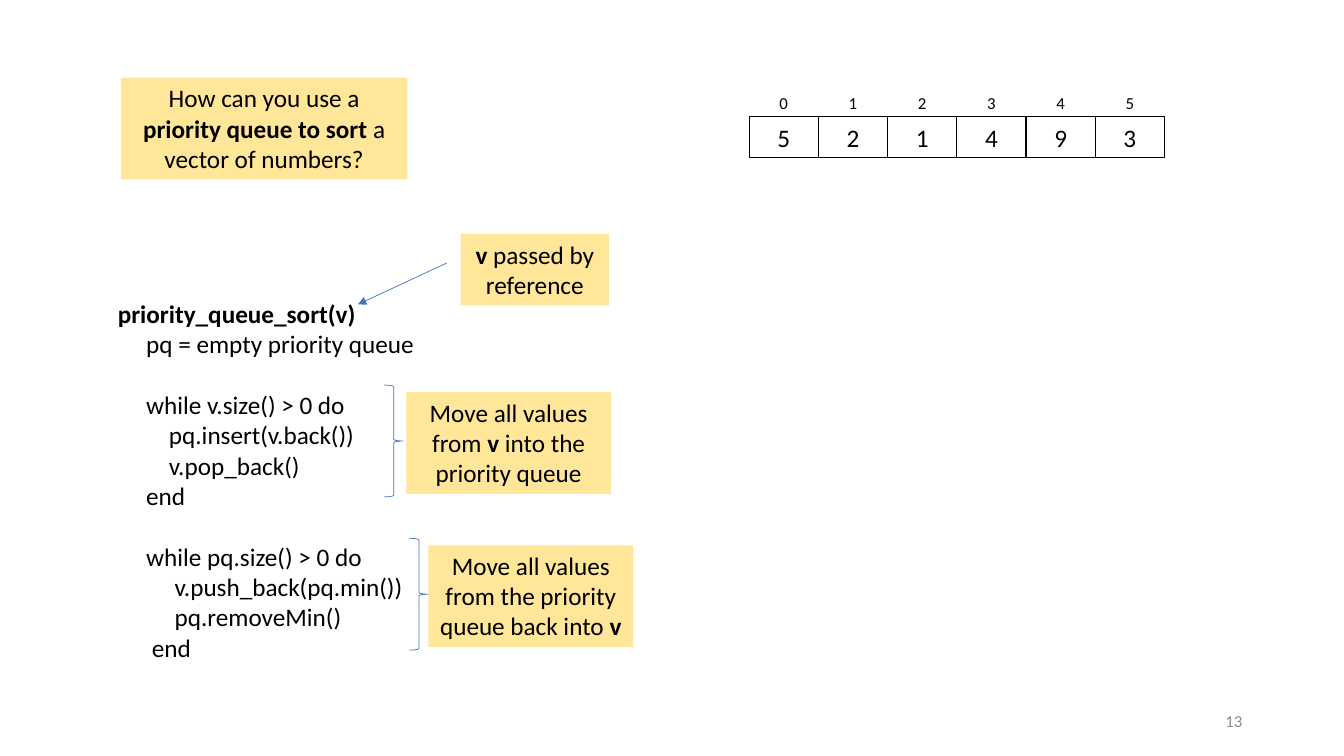
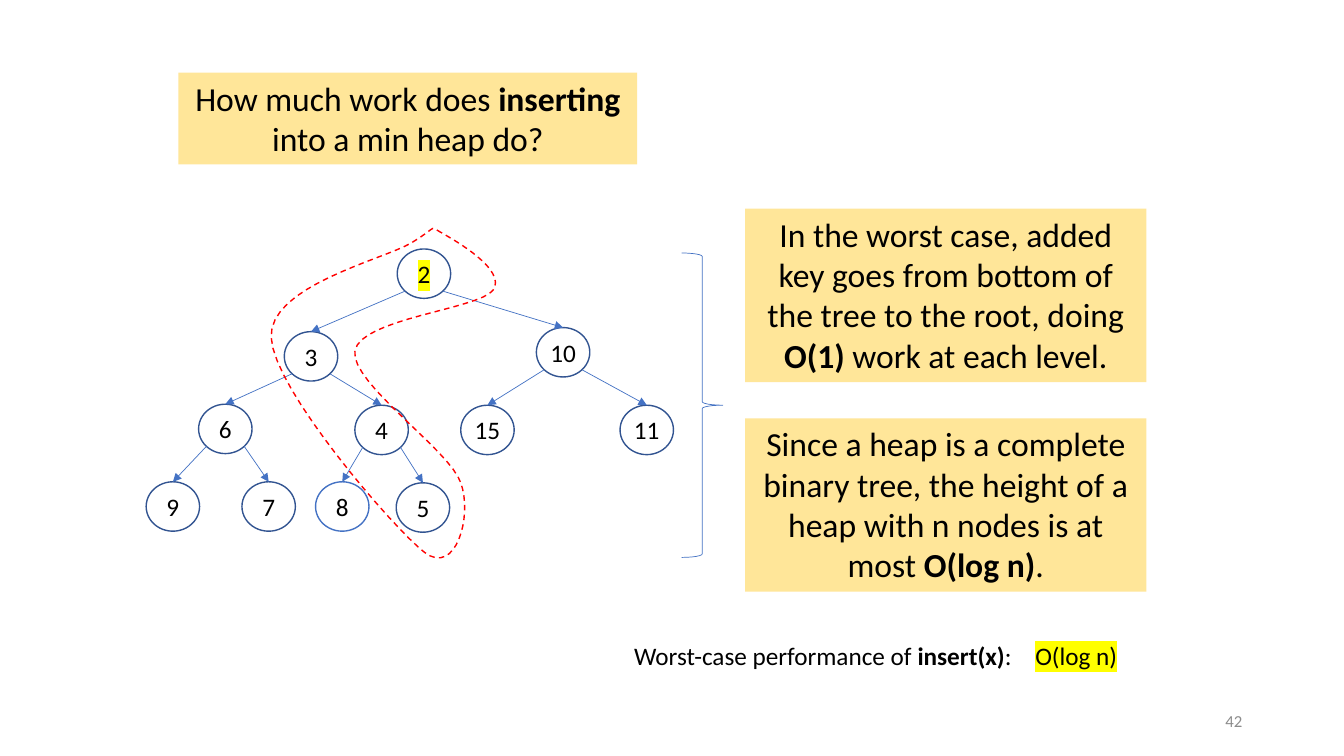
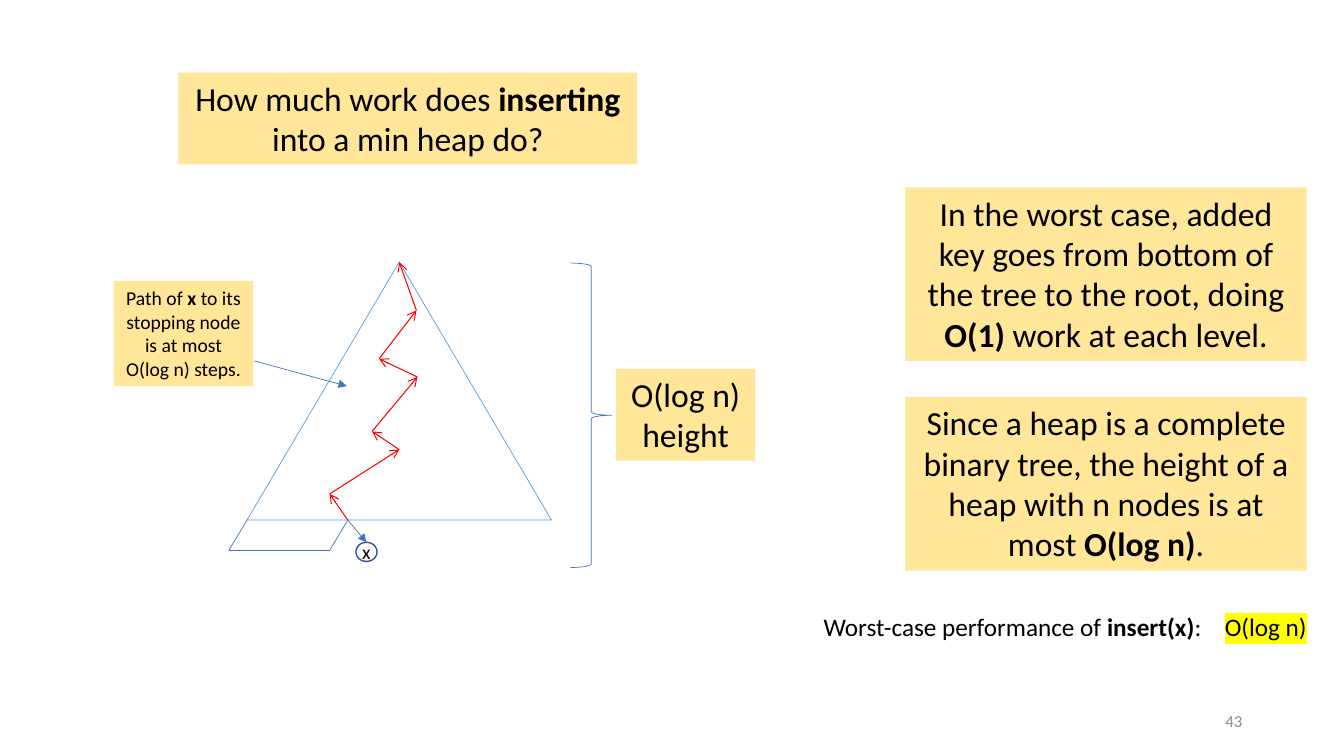
from itertools import pairwise
from math import sqrt

from lxml.etree import SubElement
from pptx import Presentation
from pptx.dml.color import RGBColor
from pptx.enum.dml import MSO_LINE
from pptx.enum.shapes import MSO_CONNECTOR, MSO_SHAPE
from pptx.enum.text import MSO_ANCHOR, PP_ALIGN
from pptx.oxml import parse_xml
from pptx.oxml.ns import nsdecls, qn
from pptx.util import Inches, Pt

FONT = "Calibri"
BLACK, GREY, RED = "000000", "8C8C8C", "FF0000"
CREAM, YELLOW = "FFE699", "FFFF00"
BLUE, NAVY, SKY = "4472C4", "325491", "5B9BD5"
LEFT, MID, RIGHT = PP_ALIGN.LEFT, PP_ALIGN.CENTER, PP_ALIGN.RIGHT

TITLE = "How much work does **inserting** into a min heap do?"
NOTES = [
    "In the worst case, added key goes from bottom of the tree to the root, "
    "doing **O(1)** work at each level.",
    "Since a heap is a complete binary tree, the height of a heap with n nodes "
    "is at most **O(log n)**.",
]
CODE = """**priority_queue_sort(v)**
     pq = empty priority queue

     while v.size() > 0 do
         pq.insert(v.back())
         v.pop_back()
     end

     while pq.size() > 0 do
          v.push_back(pq.min())
          pq.removeMin()
      end"""

# Heap nodes: key -> left, top; edges: parent -> left child, right child
NODES = {
    2: (3.94, 2.47), 3: (2.82, 3.29), 10: (5.32, 3.25),
    6: (1.97, 4.01), 4: (3.52, 4.02), 15: (4.57, 4.02), 11: (6.15, 4.02),
    9: (1.45, 4.78), 7: (2.4, 4.78), 8: (3.13, 4.78), 5: (3.93, 4.79),
}
EDGES = {2: (3, 10), 3: (6, 4), 10: (15, 11), 6: (9, 7), 4: (8, 5)}
NODE_W, NODE_H = 0.53, 0.49

# Start of the dashed loop, then two handles and an end for each curve
START = (4.38, 2.31)
CURVES = [
    ((4.25, 2.24), (4.36, 2.24), (4.08, 2.41)),
    ((3.79, 2.58), (2.66, 2.84), (2.69, 3.35)),
    ((2.71, 3.86), (3.9, 5.24), (4.21, 5.48)),
    ((4.52, 5.72), (4.69, 5.12), (4.57, 4.79)),
    ((4.46, 4.46), (3.47, 3.8), (3.52, 3.48)),
    ((3.58, 3.16), (4.74, 3.07), (4.89, 2.88)),
    ((5.03, 2.68), (4.52, 2.39), START),
]
STEPS = [(3.45, 5.16), (3.27, 4.9), (3.96, 4.46), (3.69, 4.28),
         (4.14, 3.74), (3.76, 3.56), (4.13, 3.08), (3.96, 2.6)]


# Shared helpers
def color(code):
    return RGBColor.from_string(code)


def write(par, text, size, ink=BLACK, mark=None):
    """Fill a paragraph; parts between ** are bold."""
    for i, part in enumerate(text.split("**")):
        if not part:
            continue
        run = par.add_run()
        run.text = part
        font = run.font
        font.name, font.size, font.bold = FONT, Pt(size), i % 2 == 1
        font.color.rgb = color(ink)
        if mark:
            glow = parse_xml(f'<a:highlight {nsdecls("a")}>'
                             f'<a:srgbClr val="{mark}"/></a:highlight>')
            font._element.find(qn("a:solidFill")).addnext(glow)


def label(slide, box, text, size, align=LEFT, ink=BLACK, mark=None):
    frame = slide.shapes.add_textbox(*map(Inches, box)).text_frame
    frame.word_wrap = True
    par = frame.paragraphs[0]
    par.alignment = align
    write(par, text, size, ink, mark)
    return frame


def style(shape, fill=None, line=None, width=0.5):
    shape.shadow.inherit = False
    if fill:
        shape.fill.solid()
        shape.fill.fore_color.rgb = color(fill)
    else:
        shape.fill.background()
    if line:
        shape.line.color.rgb = color(line)
        shape.line.width = Pt(width)
    else:
        shape.line.fill.background()


def draw(slide, kind, box, fill=None, line=None, width=0.5):
    shape = slide.shapes.add_shape(kind, *map(Inches, box))
    style(shape, fill, line, width)
    return shape


def note(slide, box, text, size=18):
    shape = draw(slide, MSO_SHAPE.RECTANGLE, box, CREAM)
    frame = shape.text_frame
    frame.vertical_anchor = MSO_ANCHOR.TOP
    frame.paragraphs[0].alignment = MID
    write(frame.paragraphs[0], text, size)


def brace(slide, *box):
    draw(slide, MSO_SHAPE.RIGHT_BRACE, box, line=BLUE)


def cell(slide, kind, box, text, size, line, width, mark=None):
    shape = draw(slide, kind, box, line=line, width=width)
    frame = shape.text_frame
    frame.margin_left = frame.margin_right = 0
    frame.margin_top = frame.margin_bottom = 0
    frame.vertical_anchor = MSO_ANCHOR.MIDDLE
    frame.paragraphs[0].alignment = MID
    write(frame.paragraphs[0], text, size, mark=mark)
    return shape


def link(slide, start, end, head="triangle", ink=BLUE, width=0.5):
    line = slide.shapes.add_connector(
        MSO_CONNECTOR.STRAIGHT, *map(Inches, (*start, *end)))
    line.line.color.rgb = color(ink)
    line.line.width = Pt(width)
    if head:
        SubElement(line.line._get_or_add_ln(), qn("a:tailEnd"), type=head)
    SubElement(line._element.spPr, qn("a:effectLst"))
    return line


def page(deck, number):
    slide = deck.slides.add_slide(deck.slide_layouts[6])
    frame = label(slide, (9.42, 6.95, 3, 0.4), number, 12, RIGHT, GREY)
    frame.vertical_anchor = MSO_ANCHOR.MIDDLE
    return slide


# Regions
def array(slide, x, y, w, values):
    step = w / len(values)
    for i, value in enumerate(values):
        left = x + i * step
        label(slide, (left, y, step, 0.3), str(i), 12, MID)
        cell(slide, MSO_SHAPE.RECTANGLE, (left, y + 0.29, step, 0.4),
             str(value), 18, BLACK, 0.75)


def code(slide, x, y, w, h):
    frame = label(slide, (x, y, w, h), "", 18)
    first, *rest = CODE.split("\n")
    write(frame.paragraphs[0], first, 18)
    gap = 0
    for line in rest:
        if not line:
            gap = 22
            continue
        par = frame.add_paragraph()
        par.space_before = Pt(gap)
        write(par, line, 18)
        gap = 0


def heap(slide):
    nodes = {}
    for key, (x, y) in NODES.items():
        nodes[key] = cell(
            slide, MSO_SHAPE.OVAL, (x, y, NODE_W, NODE_H), str(key), 18,
            BLUE if key == 8 else NAVY, 1, YELLOW if key == 2 else None)
    # Edges leave a node at its lower diagonals
    dx, dy = NODE_W / sqrt(8), NODE_H / sqrt(8)
    for key, pair in EDGES.items():
        x, y = NODES[key]
        for side, child in zip((-1, 1), pair):
            start = (x + NODE_W / 2 + side * dx, y + NODE_H / 2 + dy)
            link(slide, start, NODES[child]).end_connect(nodes[child], 0)


def loop(slide, parts=16):
    points, a = [], START
    for b, c, d in CURVES:
        for i in range(1, parts + 1):
            t = i / parts
            u = 1 - t
            points.append(tuple(
                Inches(u**3 * p + 3 * u * u * t * q + 3 * u * t * t * r + t**3 * s)
                for p, q, r, s in zip(a, b, c, d)))
        a = d
    path = slide.shapes.build_freeform(*map(Inches, START))
    path.add_line_segments(points, close=True)
    shape = path.convert_to_shape()
    style(shape, line=RED, width=1)
    shape.line.dash_style = MSO_LINE.DASH


def title(slide):
    note(slide, (1.77, 0.72, 4.55, 0.91), TITLE, 24)


def reason(slide, x, y):
    for i, text in enumerate(NOTES):
        note(slide, (x, y + 2.08 * i, 3.98, 1.72), text, 24)


def result(slide, x, y):
    label(slide, (x, y, 4.08, 0.4),
          "Worst-case performance of **insert(x)**:", 18)
    label(slide, (x + 3.98, y, 1.2, 0.4), "O(log n)", 18, mark=YELLOW)


def cone(slide):
    draw(slide, MSO_SHAPE.ISOSCELES_TRIANGLE, (2.45, 2.6, 3.02, 2.56), line=SKY)
    # Partly filled last level
    for a, b in pairwise([(2.45, 5.16), (2.27, 5.46), (3.27, 5.46), (3.45, 5.16)]):
        link(slide, a, b, None)
    leaf = cell(slide, MSO_SHAPE.OVAL, (3.53, 5.38, 0.21, 0.19), "x", 14, NAVY, 1)
    link(slide, STEPS[0], (3.63, 5.38)).end_connect(leaf, 0)
    # Way up to the root
    for a, b in pairwise(STEPS):
        link(slide, a, b, "arrow", RED, 0.75)


# Slides
def sorting(deck):
    slide = page(deck, "13")
    note(slide, (1.2, 0.77, 2.84, 1.01),
         "How can you use a **priority queue to sort **a vector of numbers?")
    array(slide, 7.43, 0.87, 4.12, [5, 2, 1, 4, 9, 3])
    code(slide, 1.07, 2.91, 3.4, 3.74)
    link(slide, (4.43, 2.61), (3.55, 3.02))
    note(slide, (4.57, 2.32, 1.47, 0.71), "**v** passed by reference")
    brace(slide, 3.81, 3.82, 0.19, 1.11)
    note(slide, (4.03, 3.89, 2.03, 1.01),
         "Move all values from **v** into the priority queue")
    brace(slide, 4.06, 5.34, 0.19, 1.11)
    note(slide, (4.25, 5.41, 2.03, 1.01),
         "Move all values from the priority queue back into **v**")


def insert(deck):
    slide = page(deck, "42")
    title(slide)
    heap(slide)
    loop(slide)
    brace(slide, 6.76, 2.51, 0.41, 3.02)
    reason(slide, 7.39, 2.07)
    result(slide, 6.19, 6.3)


def height(deck):
    slide = page(deck, "43")
    title(slide)
    cone(slide)
    brace(slide, 5.66, 2.61, 0.41, 3.02)
    note(slide, (6.11, 3.66, 1.38, 0.91), "O(log n) height", 24)
    note(slide, (1.13, 2.79, 1.38, 1.04),
         "Path of **x** to its stopping node is at most O(log n) steps.", 14)
    link(slide, (2.52, 3.58), (3.44, 3.83))
    reason(slide, 8.98, 1.86)
    result(slide, 8.07, 6.02)


def main():
    deck = Presentation()
    deck.slide_width, deck.slide_height = Inches(13.33), Inches(7.5)
    for build in (sorting, insert, height):
        build(deck)
    deck.save("out.pptx")


if __name__ == "__main__":
    main()
